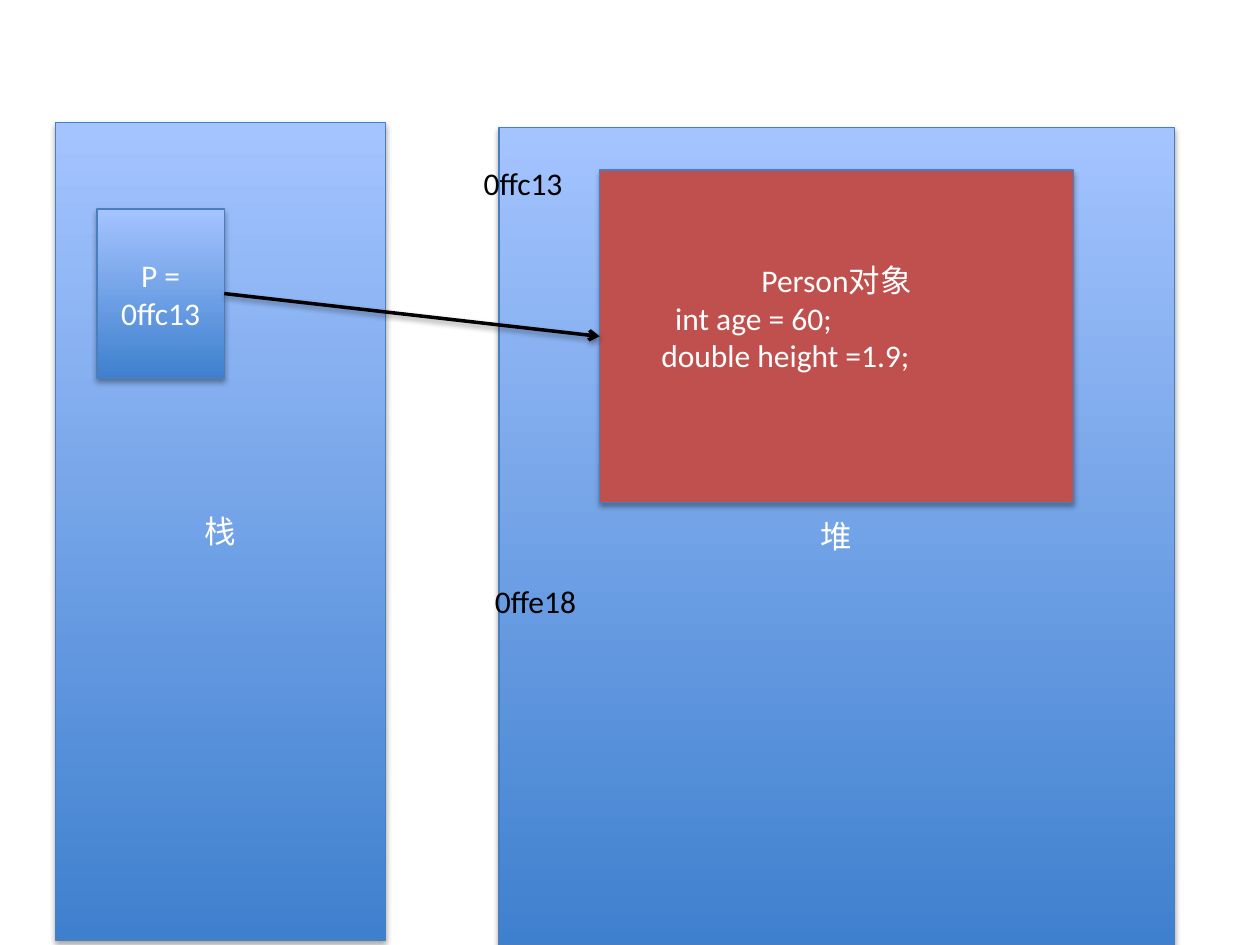
import pptx
import pptx.util
import pptx.dml.color
import pptx.enum.shapes
import pptx.enum.text
import pptx.oxml
import pptx.oxml.ns

Inches = pptx.util.Inches
Pt = pptx.util.Pt
RGBColor = pptx.dml.color.RGBColor
Align = pptx.enum.text.PP_ALIGN

DEEP = RGBColor(0x3F, 0x80, 0xCE)
PALE = RGBColor(0xA4, 0xC4, 0xFF)
EDGE = RGBColor(0x4B, 0x7E, 0xBC)
RED = RGBColor(0xC0, 0x50, 0x4D)
WHITE = RGBColor(0xFF, 0xFF, 0xFF)
BLACK = RGBColor(0, 0, 0)


def apply(target, values):
    for name, value in values.items():
        setattr(target, name, value)


class Sketch:
    font = {"name": "Calibri", "size": Pt(18)}

    def __init__(self, slide):
        self.slide = slide

    def text(self, frame, lines, color):
        for i, (words, align, indent) in enumerate(lines):
            para = frame.paragraphs[0] if i == 0 else frame.add_paragraph()
            para.alignment = align
            if indent:
                para._p.get_or_add_pPr().set("marL", str(Inches(indent)))
            run = para.add_run()
            run.text = words
            apply(run.font, self.font)
            run.font.color.rgb = color

    def box(self, place, lines, fill=None, foot=0.05):
        kind = pptx.enum.shapes.MSO_SHAPE.RECTANGLE
        shape = self.slide.shapes.add_shape(kind, *map(Inches, place))
        if fill:
            shape.fill.solid()
            shape.fill.fore_color.rgb = fill
        else:
            shape.fill.gradient()
            shape.fill.gradient_angle = 90
            for stop, color in zip(shape.fill.gradient_stops, (DEEP, PALE)):
                stop.color.rgb = color
        shape.line.color.rgb = EDGE
        shape.line.width = Pt(0.75)
        frame = shape.text_frame
        apply(frame, {
            "word_wrap": True,
            "vertical_anchor": pptx.enum.text.MSO_ANCHOR.MIDDLE,
            "margin_bottom": Inches(foot),
        })
        self.text(frame, lines, WHITE)
        return shape

    def label(self, place, words):
        frame = self.slide.shapes.add_textbox(*map(Inches, place)).text_frame
        apply(frame, {
            "word_wrap": False,
            "auto_size": pptx.enum.text.MSO_AUTO_SIZE.SHAPE_TO_FIT_TEXT,
        })
        self.text(frame, [(words, Align.LEFT, 0)], BLACK)

    def arrow(self, start, end):
        kind = pptx.enum.shapes.MSO_CONNECTOR.STRAIGHT
        link = self.slide.shapes.add_connector(kind, 0, 0, 0, 0)
        link.begin_connect(start, 3)
        link.end_connect(end, 1)
        link.line.color.rgb = BLACK
        link.line.width = Pt(2)
        tip = pptx.oxml.parse_xml(
            "<a:tailEnd %s type='arrow'/>" % pptx.oxml.ns.nsdecls("a"))
        link.line._get_or_add_ln().append(tip)


deck = pptx.Presentation()
apply(deck, {"slide_width": Inches(10), "slide_height": Inches(7.5)})
draw = Sketch(deck.slides.add_slide(deck.slide_layouts[6]))

draw.box((0.44, 0.97, 2.62, 6.49), [("栈", Align.CENTER, 0)])
draw.box((3.96, 1.01, 5.36, 6.49), [("堆", Align.CENTER, 0)])
person = draw.box((4.76, 1.35, 3.76, 2.64), [
    ("Person对象", Align.CENTER, 0),
    ("int age = 60;", Align.LEFT, 0.5),
    ("double height =1.9;", Align.LEFT, 0.39),
], RED, 0.35)
draw.label((3.74, 1.25, 0.84, 0.4), "0ffc13")
holder = draw.box((0.77, 1.66, 1.01, 1.34), [("P = 0ffc13", Align.CENTER, 0)])
draw.arrow(holder, person)
draw.label((3.83, 4.57, 0.86, 0.4), "0ffe18")

deck.save("out.pptx")
